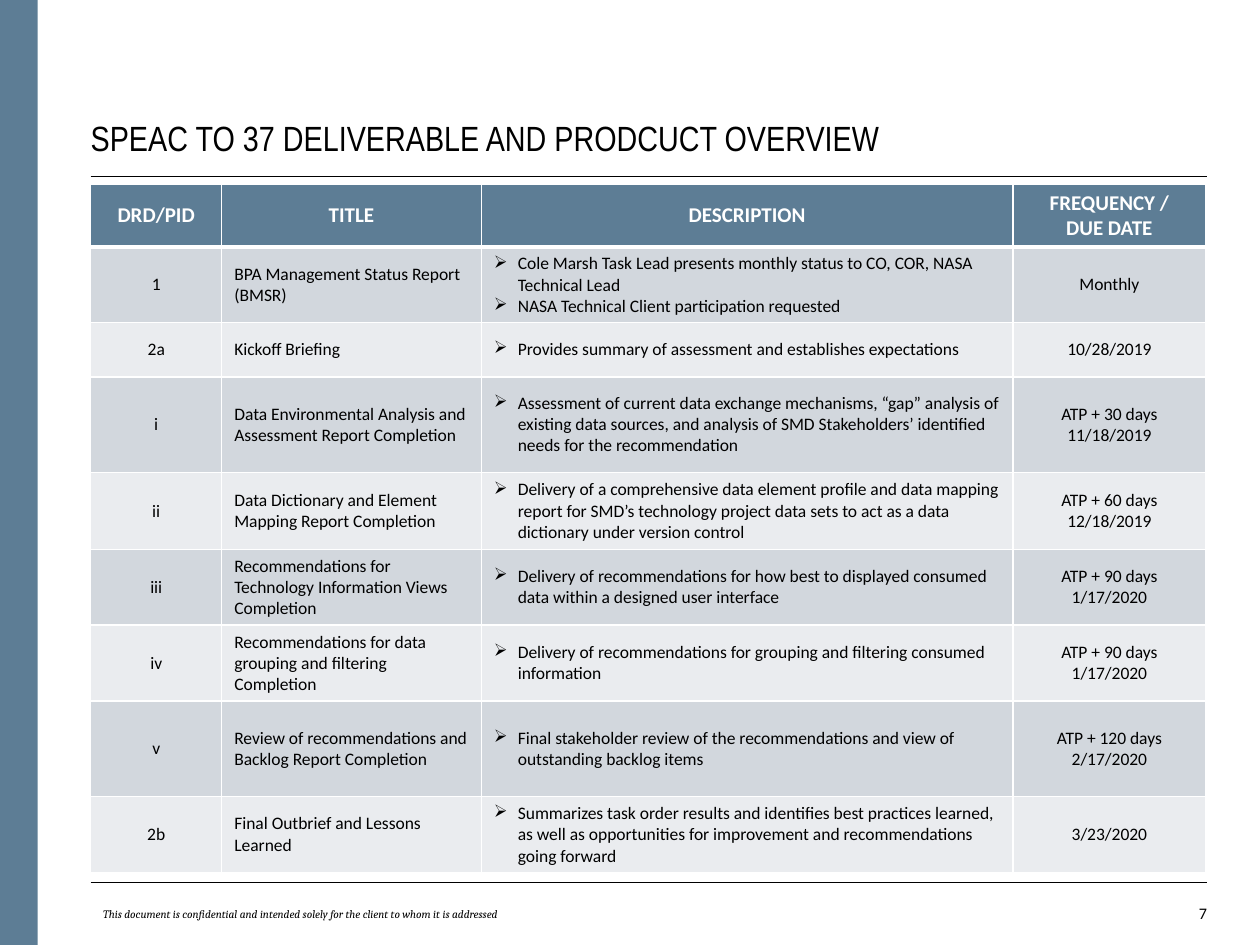
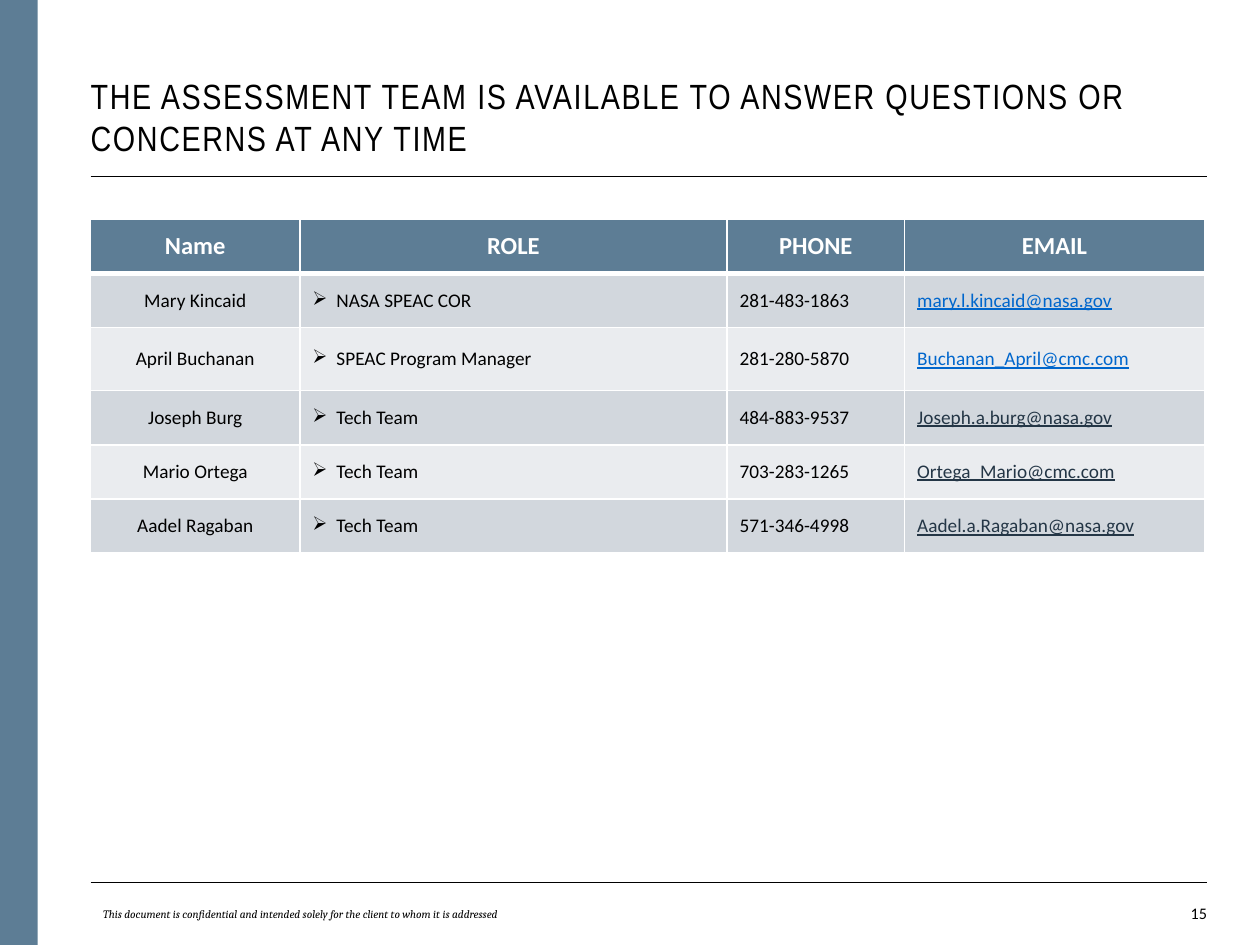
from lxml import etree
from pptx import Presentation
from pptx.dml.color import RGBColor
from pptx.enum.shapes import MSO_CONNECTOR, MSO_SHAPE
from pptx.enum.text import MSO_ANCHOR, PP_ALIGN
from pptx.oxml.ns import qn
from pptx.util import Emu, Inches, Pt

RECT, STRAIGHT = MSO_SHAPE.RECTANGLE, MSO_CONNECTOR.STRAIGHT
MIDDLE, BOTTOM = MSO_ANCHOR.MIDDLE, MSO_ANCHOR.BOTTOM
LEFT, CENTER, RIGHT = PP_ALIGN.LEFT, PP_ALIGN.CENTER, PP_ALIGN.RIGHT

# The slide is a grid of 100 columns by 75 rows, each cell 0.1 inch square
COLS, ROWS = 100, 75
CELL = Inches(0.1)
MARGIN, CONTENT_W = 7.2, 88.6
HEADER_RULE, FOOTER_RULE, TITLE_BASE = 14, 70, 12.6

STEEL, GREY, PALE = "5D7D95", "D2D7DD", "EAECEF"
BLACK, WHITE, LINK_BLUE, LINK_NAVY = "000000", "FFFFFF", "0066CC", "243646"

TITLE_FONT = {"name": "Arial Narrow", "size": Pt(20)}
PAGE_FONT = {"name": "Calibri", "size": Pt(9.2)}
NOTICE_FONT = {"name": "Cambria", "size": Pt(6.5), "italic": True}
NOTICE = "This document is confidential and intended solely for the client to whom it is addressed"

DELIVERABLES = [
    ("DRD/PID", "TITLE", "DESCRIPTION", "FREQUENCY /\nDUE DATE"),
    ("1", "BPA Management Status Report (BMSR)",
     "Cole Marsh Task Lead presents monthly status to CO, COR, NASA Technical Lead\n"
     "NASA Technical Client participation requested", "Monthly"),
    ("2a", "Kickoff Briefing",
     "Provides summary of assessment and establishes expectations", "10/28/2019"),
    ("i", "Data Environmental Analysis and Assessment Report Completion",
     "Assessment of current data exchange mechanisms, “gap” analysis of existing data sources, "
     "and analysis of SMD Stakeholders’ identified needs for the recommendation",
     "ATP + 30 days\n11/18/2019"),
    ("ii", "Data Dictionary and Element Mapping Report Completion",
     "Delivery of a comprehensive data element profile and data mapping report for SMD’s "
     "technology project data sets to act as a data dictionary under version control",
     "ATP + 60 days\n12/18/2019"),
    ("iii", "Recommendations for Technology Information Views Completion",
     "Delivery of recommendations for how best to displayed consumed data within a designed "
     "user interface", "ATP + 90 days\n1/17/2020"),
    ("iv", "Recommendations for data grouping and filtering Completion",
     "Delivery of recommendations for grouping and filtering consumed information",
     "ATP + 90 days\n1/17/2020"),
    ("v", "Review of recommendations and Backlog Report Completion",
     "Final stakeholder review of the recommendations and view of outstanding backlog items",
     "ATP + 120 days\n2/17/2020"),
    ("2b", "Final Outbrief and Lessons Learned",
     "Summarizes task order results and identifies best practices learned, as well as "
     "opportunities for improvement and recommendations going forward", "3/23/2020"),
]

TEAM = [
    ("Name", "ROLE", "PHONE", "EMAIL"),
    ("Mary Kincaid", "NASA SPEAC COR", "281-483-1863", "mary.l.kincaid@nasa.gov"),
    ("April Buchanan", "SPEAC Program Manager", "281-280-5870", "Buchanan_April@cmc.com"),
    ("Joseph Burg", "Tech Team", "484-883-9537", "Joseph.a.burg@nasa.gov"),
    ("Mario Ortega", "Tech Team", "703-283-1265", "Ortega_Mario@cmc.com"),
    ("Aadel Ragaban", "Tech Team", "571-346-4998", "Aadel.a.Ragaban@nasa.gov"),
]


def grid(*lengths):
    return [Emu(round(n * CELL)) for n in lengths]


def rgb(color):
    return RGBColor.from_string(color)


def write(tf, text, font, color=BLACK, align=LEFT, bullet=False):
    """Write one paragraph per line of text."""
    for i, line in enumerate(text.split("\n")):
        p = tf.add_paragraph() if i else tf.paragraphs[0]
        p.alignment = align
        if bullet:
            pPr = p._p.get_or_add_pPr()
            pPr.set("marL", str(Inches(0.19)))
            pPr.set("indent", str(-Inches(0.19)))
            etree.SubElement(pPr, qn("a:buChar")).set("char", "➢")
        r = p.add_run()
        r.text = line
        r.font.color.rgb = rgb(color)
        for name, value in font.items():
            setattr(r.font, name, value)


def add_text(slide, box, text, font, anchor=MIDDLE, align=LEFT, inset=True):
    sp = slide.shapes.add_textbox(*grid(*box))
    tf = sp.text_frame
    tf.word_wrap = True
    tf.vertical_anchor = anchor
    if not inset:
        for side in ("left", "top", "right", "bottom"):
            setattr(tf, f"margin_{side}", 0)
    write(tf, text, font, align=align)
    return sp


def add_rule(slide, y, width):
    line = slide.shapes.add_connector(STRAIGHT, *grid(MARGIN, y, MARGIN + CONTENT_W, y))
    line.line.color.rgb = rgb(BLACK)
    line.line.width = Pt(width)
    etree.SubElement(line._element.spPr, qn("a:effectLst"))


def add_frame(prs, title, title_h, page, spacing=0):
    """Blank slide with side band, rules, title and footer."""
    slide = prs.slides.add_slide(prs.slide_layouts[6])
    # Side band
    band = slide.shapes.add_shape(RECT, *grid(0, 0, 3, ROWS))
    band.shadow.inherit = False
    band.fill.solid()
    band.fill.fore_color.rgb = rgb(STEEL)
    band.line.fill.background()
    # Rules
    add_rule(slide, HEADER_RULE, 1)
    add_rule(slide, FOOTER_RULE, 0.5)
    # Title
    sp = add_text(slide, (MARGIN, TITLE_BASE - title_h, CONTENT_W, title_h),
                  title, TITLE_FONT, BOTTOM, inset=False)
    if spacing:
        r = sp.text_frame.paragraphs[0].runs[0]
        r._r.get_or_add_rPr().set("spc", str(spacing))
    # Footer
    footer_h = ROWS - FOOTER_RULE
    add_text(slide, (MARGIN + CONTENT_W - 5, FOOTER_RULE, 5, footer_h), page,
             PAGE_FONT, align=RIGHT, inset=False)
    add_text(slide, (MARGIN, FOOTER_RULE, 40, footer_h), NOTICE, NOTICE_FONT)
    return slide


def set_borders(cell, top, bottom):
    tcPr = cell._tc.get_or_add_tcPr()
    for i, (side, width) in enumerate((("L", 1), ("R", 1), ("T", top), ("B", bottom))):
        ln = etree.Element(qn(f"a:ln{side}"), w=str(Pt(width)))
        fill = etree.SubElement(ln, qn("a:solidFill"))
        etree.SubElement(fill, qn("a:srgbClr")).set("val", WHITE)
        tcPr.insert(i, ln)


def add_grid_table(slide, top, widths, heights, data, sizes, column_styles):
    """Table with a steel header and alternating body rows."""
    box = grid(MARGIN, top, sum(widths), sum(heights))
    table = slide.shapes.add_table(len(heights), len(widths), *box).table
    table.horz_banding = False
    for col, w in zip(table.columns, grid(*widths)):
        col.width = w
    for row, h in zip(table.rows, grid(*heights)):
        row.height = h
    head_size, body_size = sizes
    for i, texts in enumerate(data):
        head = i == 0
        font = {"name": "Calibri", "size": Pt(head_size if head else body_size), "bold": head}
        for j, text in enumerate(texts):
            cell = table.cell(i, j)
            cell.vertical_anchor = MIDDLE
            cell.fill.solid()
            cell.fill.fore_color.rgb = rgb(STEEL if head else GREY if i % 2 else PALE)
            set_borders(cell, 3 if i == 1 else 1, 3 if head else 1)
            style = column_styles[j]
            if head:
                write(cell.text_frame, text, font, WHITE, CENTER)
            elif style == "link":
                write(cell.text_frame, text, {**font, "underline": True},
                      LINK_BLUE if i <= 2 else LINK_NAVY)
            else:
                write(cell.text_frame, text, font, BLACK,
                      CENTER if style == "center" else LEFT, style == "bullet")


def add_deliverables(prs):
    slide = add_frame(prs, "SPEAC TO 37 DELIVERABLE AND PRODCUCT OVERVIEW", 7.2, "7")
    add_grid_table(slide, 14.6, (10.4, 20.6, 42.2, 15.3),
                   (4.7, 5.9, 4.3, 7.6, 6.1, 5.9, 5.9, 7.6, 5.9),
                   DELIVERABLES, (12, 10), ("center", "left", "bullet", "center"))


def add_team(prs):
    slide = add_frame(prs, "THE ASSESSMENT TEAM IS AVAILABLE TO ANSWER QUESTIONS OR "
                      "CONCERNS AT ANY TIME", 10.7, "15", spacing=90)
    add_grid_table(slide, 17.4, (16.6, 33.9, 14.1, 23.8),
                   (4.3, 4.3, 5, 4.3, 4.3, 4.3),
                   TEAM, (14, 11), ("center", "bullet", "left", "link"))


def main():
    prs = Presentation()
    prs.slide_width, prs.slide_height = grid(COLS, ROWS)
    add_deliverables(prs)
    add_team(prs)
    prs.save("out.pptx")


if __name__ == "__main__":
    main()
